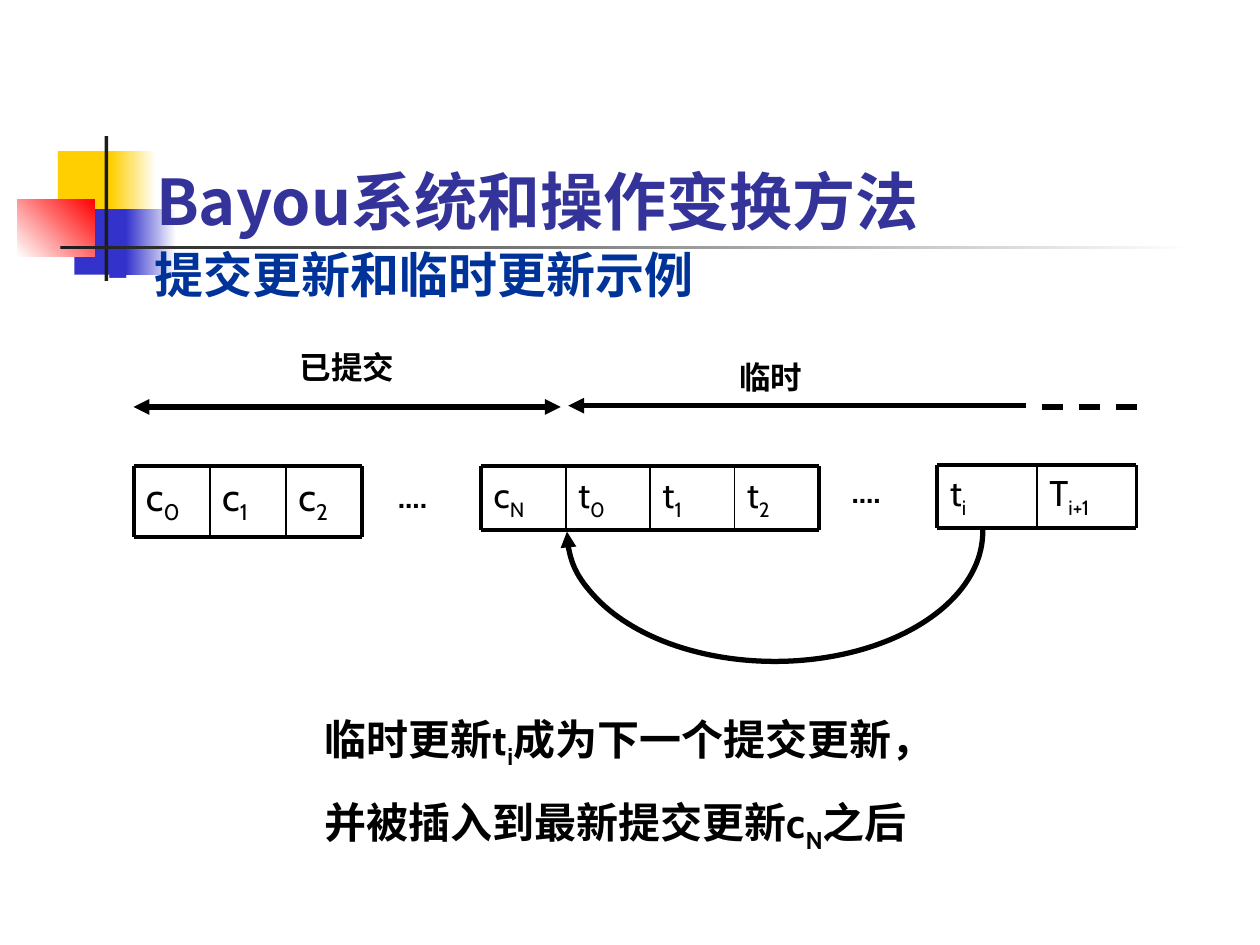
from lxml.etree import SubElement
from pptx import Presentation
from pptx.dml.color import RGBColor
from pptx.enum.dml import MSO_LINE
from pptx.enum.shapes import MSO_CONNECTOR, MSO_SHAPE
from pptx.enum.text import MSO_ANCHOR
from pptx.oxml.ns import qn
from pptx.util import Inches, Pt

COLORS = {
    "yellow": "FFCF01", "blue": "3333CC", "red": "FF0000", "white": "FFFFFF",
    "rule": "1C1C1C", "title": "333399", "subtitle": "003399", "black": "000000",
}
CJK_FONT = "Noto Sans CJK JP"


def rgb(name):
    return RGBColor.from_string(COLORS[name])


def add_block(s, x, y, w, h, start, end=None, angle=0):
    """Borderless rectangle, plain or fading from start to end."""
    sp = s.shapes.add_shape(MSO_SHAPE.RECTANGLE, Inches(x), Inches(y), Inches(w), Inches(h))
    sp.shadow.inherit = False
    sp.line.fill.background()
    if end is None:
        sp.fill.solid()
        sp.fill.fore_color.rgb = rgb(start)
        return
    sp.fill.gradient()
    sp.fill.gradient_angle = angle
    for stop, color in zip(sp.fill.gradient_stops, (start, end)):
        stop.color.rgb = rgb(color)


def add_text(s, x, y, w, h, lines, size, font="Cabin", color="black", bold=True, space=0):
    """Text box; each line is a list of runs, and every second run is a subscript."""
    tf = s.shapes.add_textbox(Inches(x), Inches(y), Inches(w), Inches(h)).text_frame
    tf.word_wrap = True
    for i, line in enumerate(lines):
        p = tf.paragraphs[0] if i == 0 else tf.add_paragraph()
        if i:
            p.space_before = Pt(space)
        for j, text in enumerate(line):
            r = p.add_run()
            r.text = text
            r.font.size, r.font.bold, r.font.name = Pt(size), bold, font
            r.font.color.rgb = rgb(color)
            rPr = r.font._element
            SubElement(rPr, qn("a:ea")).set("typeface", CJK_FONT)
            if j % 2:
                rPr.set("baseline", "-25000")
    return tf


def add_bullet(p):
    """Small square bullet with a hanging indent."""
    pPr = p._p.get_or_add_pPr()
    pPr.set("marL", str(Inches(0.38)))
    pPr.set("indent", str(-Inches(0.38)))
    SubElement(SubElement(pPr, qn("a:buClr")), qn("a:srgbClr")).set("val", COLORS["blue"])
    SubElement(pPr, qn("a:buSzPct")).set("val", "60000")
    SubElement(pPr, qn("a:buChar")).set("char", "■")


def style_line(line, width, ends=()):
    line.color.rgb = rgb("black")
    line.width = Pt(width)
    for end in ends:
        SubElement(line._get_or_add_ln(), qn(f"a:{end}")).set("type", "triangle")


def add_line(s, x1, y1, x2, y2, width, ends=(), dash=None):
    c = s.shapes.add_connector(MSO_CONNECTOR.STRAIGHT, Inches(x1), Inches(y1),
                               Inches(x2), Inches(y2))
    if dash:
        c.line.dash_style = dash
    style_line(c.line, width, ends)
    SubElement(c._element.spPr, qn("a:effectLst"))


def add_log(s, x, y, cell_w, h, size, entries):
    """Row of log entries with a heavy frame and thin dividers."""
    n = len(entries)
    right = x + n * cell_w
    for i, entry in enumerate(entries):
        add_text(s, x + i * cell_w, y, cell_w, h, [entry], size, bold=False)
    for edge in (y, y + h):
        add_line(s, x, edge, right, edge, 2.25)
    for i in range(n + 1):
        cx = x + i * cell_w
        add_line(s, cx, y, cx, y + h, 2.25 if i in (0, n) else 1)


def add_insert_arc(s):
    """Curved arrow from the tentative entry back to the end of the committed ones."""
    sp = s.shapes.add_shape(MSO_SHAPE.ARC, Inches(4.5), Inches(3.19), Inches(3.3), Inches(2.06))
    sp.shadow.inherit = False
    sp.fill.background()
    # Angles are stored in 60000ths of a degree, adjustments in 100000ths
    for i, degrees in enumerate((359, 180)):
        sp.adjustments[i] = degrees * 0.6
    style_line(sp.line, 3, ["tailEnd"])


def main():
    prs = Presentation()
    prs.slide_width, prs.slide_height = Inches(10), Inches(7.5)
    s = prs.slides.add_slide(prs.slide_layouts[6])

    # Corner decoration and title rule
    add_block(s, 0.46, 1.2, 0.48, 0.52, "yellow")
    add_block(s, 0.88, 1.2, 0.36, 0.52, "yellow", "white")
    add_block(s, 0.59, 1.66, 0.46, 0.52, "blue")
    add_block(s, 1, 1.66, 0.4, 0.52, "blue", "white")
    add_block(s, 0.14, 1.58, 0.61, 0.46, "white", "red", 45)
    add_block(s, 0.83, 1.08, 0.03, 1.15, "rule")
    add_block(s, 0.48, 1.95, 9, 0.03, "rule", "white")

    # Title and subtitle
    title = add_text(s, 1.14, 0.91, 7.4, 0.98, [["Bayou系统和操作变换方法"]], 36, CJK_FONT, "title")
    title.vertical_anchor = MSO_ANCHOR.BOTTOM
    body = add_text(s, 0.75, 1.94, 8.82, 5.43, [["提交更新和临时更新示例"]], 28,
                    "Times New Roman", "subtitle")
    add_bullet(body.paragraphs[0])
    for tf in (title, body):
        tf.margin_top = tf.margin_bottom = 0

    # Update log
    add_log(s, 3.82, 3.7, 0.67, 0.51, 20.4, ["cN", "t0", "t1", "t2"])
    add_log(s, 1.06, 3.7, 0.605, 0.56, 22.2, ["c0", "c1", "c2"])
    add_log(s, 7.44, 3.69, 0.79, 0.5, 20.4, ["ti", ("T", "i+1")])
    for x, y in ((3.06, 3.74), (6.66, 3.7)):
        add_text(s, x, y, 0.55, 0.4, [["...."]], 18)

    # Committed and tentative ranges
    add_line(s, 1.06, 3.23, 4.45, 3.23, 3, ["headEnd", "tailEnd"])
    add_line(s, 8.14, 3.22, 4.51, 3.22, 3, ["tailEnd"])
    add_line(s, 8.27, 3.23, 9.13, 3.23, 3, dash=MSO_LINE.DASH)
    add_text(s, 2.28, 2.71, 1.57, 0.4, [["已提交"]], 18)
    add_text(s, 5.77, 2.79, 1.57, 0.4, [["临时"]], 18)

    # Insertion and its explanation
    add_insert_arc(s)
    add_text(s, 2.48, 5.61, 5.67, 1.22,
             [["临时更新t", "i", "成为下一个提交更新，"], ["并被插入到最新提交更新c", "N", "之后"]],
             24, space=15)

    prs.save("out.pptx")


if __name__ == "__main__":
    main()
